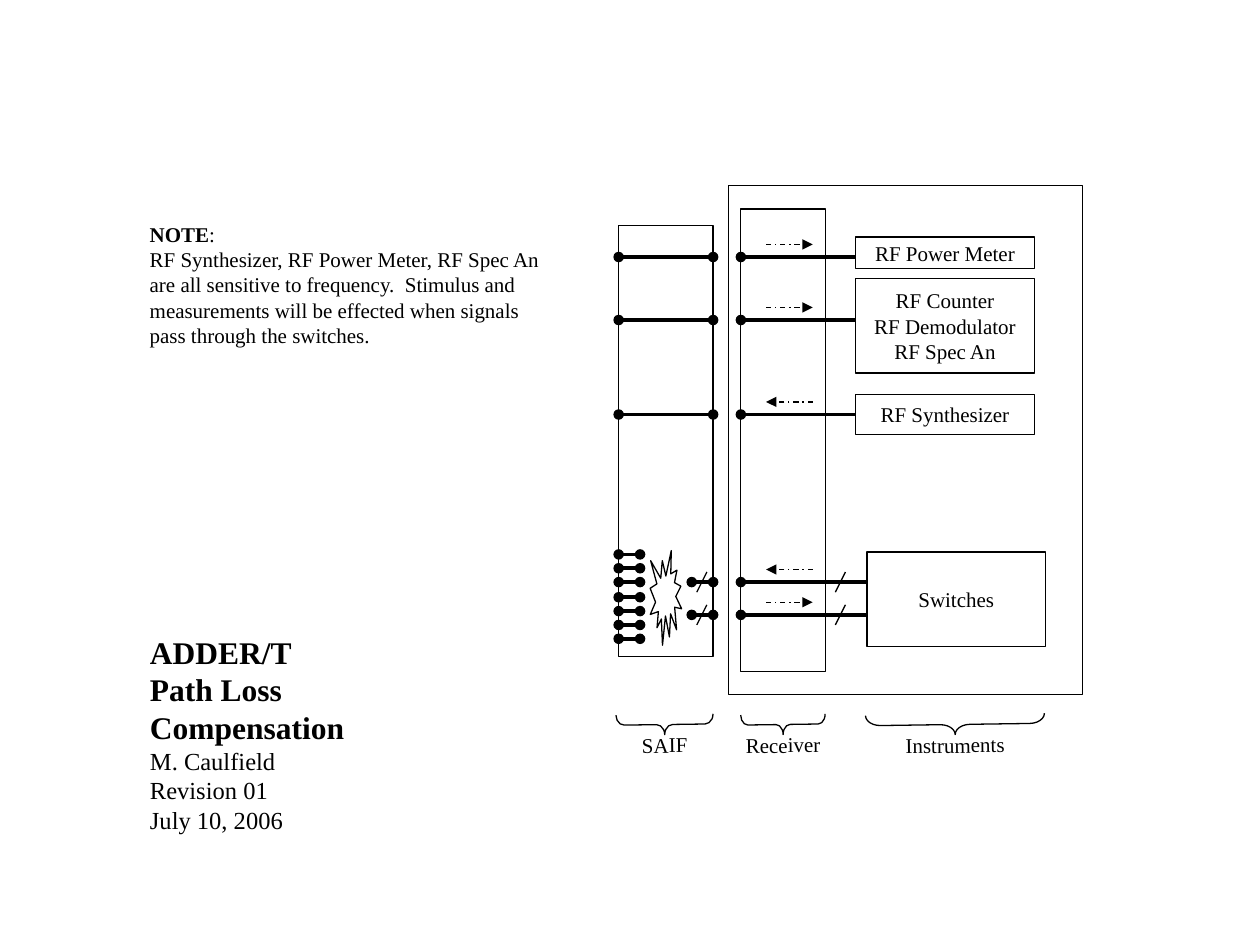
from dataclasses import dataclass
from typing import NamedTuple, Optional

from lxml.etree import SubElement
from pptx import Presentation
from pptx.dml.color import RGBColor
from pptx.enum.dml import MSO_LINE_DASH_STYLE as Dash
from pptx.enum.shapes import MSO_CONNECTOR as Connector, MSO_SHAPE as Shape
from pptx.enum.text import MSO_ANCHOR as Anchor, MSO_AUTO_SIZE as AutoSize, PP_ALIGN as Align
from pptx.oxml.ns import qn
from pptx.util import Emu, Pt

PX = 9144  # 100 px to the inch


@dataclass(frozen=True)
class Theme:
    ink: RGBColor = RGBColor(0, 0, 0)
    font: str = "Times New Roman"
    heading: int = 18
    credit: int = 14
    body: int = 12
    thin: float = 0.75
    thick: float = 2


class Box(NamedTuple):
    left: int
    top: int
    width: int
    height: int

    @property
    def right(self) -> int:
        return self.left + self.width


class Instrument(NamedTuple):
    label: str
    box: Box


class Signal(NamedTuple):
    y: int
    instrument: int
    outward: bool  # True when the signal runs towards the instrument
    switched: bool = False
    joined: bool = False


class Section(NamedTuple):
    label: str
    left: int
    width: int


THEME = Theme()
ENCLOSURE = Box(578, 147, 281, 404)
RECEIVER = Box(588, 166, 67, 367)
SAIF = Box(491, 179, 75, 342)
BURST = Box(516, 437, 25, 75)
INSTRUMENTS = [
    Instrument("RF Power Meter", Box(679, 188, 142, 25)),
    Instrument("RF Counter\nRF Demodulator\nRF Spec An", Box(679, 221, 142, 75)),
    Instrument("RF Synthesizer", Box(679, 313, 142, 32)),
    Instrument("Switches", Box(688, 438, 142, 75)),
]
SIGNALS = [
    Signal(204, 0, True),
    Signal(254, 1, True),
    Signal(329, 2, False, joined=True),
    Signal(462, 3, False, switched=True),
    Signal(488, 3, True, switched=True),
]
SECTIONS = [
    Section("SAIF", 489, 77),
    Section("Receiver", 588, 67),
    Section("Instruments", 687, 142),
]
PORTS, PORT_TOP, PORT_BOTTOM = 7, 440, 507
STUB = 17
BRACE_DEPTH, BRACE_MIDDLE, BRACE_TILT = 16, 575, -0.8


def emu(*lengths: float) -> list[Emu]:
    return [Emu(round(length * PX)) for length in lengths]


def write(frame, text: str, *, size: int = THEME.body, bold: bool = False,
          align: Align = Align.LEFT, anchor: Anchor = Anchor.TOP,
          wrap: bool = False, same_line: bool = False) -> None:
    """Add each line of text as a paragraph, or continue the last one."""
    frame.word_wrap = wrap
    frame.auto_size = AutoSize.NONE
    frame.vertical_anchor = anchor
    for line in text.split("\n"):
        last = frame.paragraphs[-1]
        paragraph = last if same_line or not last.runs else frame.add_paragraph()
        paragraph.alignment = align
        run = paragraph.add_run()
        run.text = line
        run.font.name = THEME.font
        run.font.size = Pt(size)
        run.font.bold = bold
        run.font.color.rgb = THEME.ink


def outline(slide, kind: Shape, box: Box):
    shape = slide.shapes.add_shape(kind, *emu(*box))
    shape.shadow.inherit = False
    shape.fill.background()
    shape.line.color.rgb = THEME.ink
    shape.line.width = Pt(THEME.thin)
    return shape


def wire(slide, start: tuple[int, int], end: tuple[int, int], *,
         width: float = THEME.thin, head: Optional[str] = None,
         tail: Optional[str] = None, dash: Optional[Dash] = None):
    line = slide.shapes.add_connector(Connector.STRAIGHT, *emu(*start, *end))
    line.line.color.rgb = THEME.ink
    line.line.width = Pt(width)
    if dash is not None:
        line.line.dash_style = dash
    properties = line.line._get_or_add_ln()
    for tag, marker in (("a:headEnd", head), ("a:tailEnd", tail)):
        if marker:
            SubElement(properties, qn(tag), type=marker)
    SubElement(properties.getparent(), qn("a:effectLst"))
    return line


def link(slide, left: int, right: int, y: int) -> None:
    wire(slide, (right, y), (left, y), width=THEME.thick, head="oval", tail="oval")


def slash(slide, x: int, y: int) -> None:
    wire(slide, (x + 4, y - 8), (x - 4, y + 8))


def draw_signal(slide, signal: Signal, instrument_shapes: list) -> None:
    y = signal.y
    lead = wire(slide, (RECEIVER.left, y), (INSTRUMENTS[signal.instrument].box.left, y),
                width=THEME.thick, head="oval")
    if signal.joined:
        lead.end_connect(instrument_shapes[signal.instrument], 1)

    # Direction of travel
    start, end = (608, 645) if signal.outward else (645, 608)
    wire(slide, (start, y - 10), (end, y - 10), tail="triangle", dash=Dash.DASH_DOT)

    # Path through the SAIF
    link(slide, SAIF.right - STUB if signal.switched else SAIF.left, SAIF.right, y)
    if signal.switched:
        slash(slide, 667, y)
        slash(slide, 557, y)


def draw_section(slide, section: Section) -> None:
    center = section.left + section.width / 2
    brace = outline(slide, Shape.LEFT_BRACE, Box(
        center - BRACE_DEPTH / 2, BRACE_MIDDLE - section.width / 2,
        BRACE_DEPTH, section.width))
    brace.rotation = 270 + BRACE_TILT
    brace.adjustments[0] = section.width / 12 / BRACE_DEPTH
    label = slide.shapes.add_textbox(*emu(center - 50, 577, 100, 28))
    label.rotation = 360 + BRACE_TILT
    write(label.text_frame, section.label, align=Align.CENTER, anchor=Anchor.MIDDLE)


def main() -> None:
    deck = Presentation()
    deck.slide_width, deck.slide_height = emu(1000, 750)
    slide = deck.slides.add_slide(deck.slide_layouts[5])

    # Title block
    title = slide.shapes.title
    title.left, title.top, title.width, title.height = emu(109, 497, 285, 140)
    write(title.text_frame, "ADDER/T\nPath Loss Compensation", size=THEME.heading, bold=True)
    write(title.text_frame, "M. Caulfield\nRevision 01\nJuly 10, 2006", size=THEME.credit)

    # Note
    note = slide.shapes.add_textbox(*emu(109, 171, 337, 110)).text_frame
    write(note, "NOTE", bold=True, wrap=True)
    write(note, ":", wrap=True, same_line=True)
    write(note, "RF Synthesizer, RF Power Meter, RF Spec An are all sensitive to frequency.  "
                "Stimulus and measurements will be effected when signals pass through "
                "the switches.", wrap=True)

    # Enclosures and instruments
    for box in (ENCLOSURE, RECEIVER, SAIF):
        outline(slide, Shape.RECTANGLE, box)
    instrument_shapes = []
    for instrument in INSTRUMENTS:
        shape = outline(slide, Shape.RECTANGLE, instrument.box)
        write(shape.text_frame, instrument.label, align=Align.CENTER, anchor=Anchor.MIDDLE)
        instrument_shapes.append(shape)

    # Signal paths
    for signal in SIGNALS:
        draw_signal(slide, signal, instrument_shapes)

    # Switch ports in the SAIF
    outline(slide, Shape.EXPLOSION1, BURST)
    for port in range(PORTS):
        y = round(PORT_TOP + port * (PORT_BOTTOM - PORT_TOP) / (PORTS - 1))
        link(slide, SAIF.left, SAIF.left + STUB, y)

    # Section braces
    for section in SECTIONS:
        draw_section(slide, section)

    deck.save("out.pptx")


if __name__ == "__main__":
    main()
